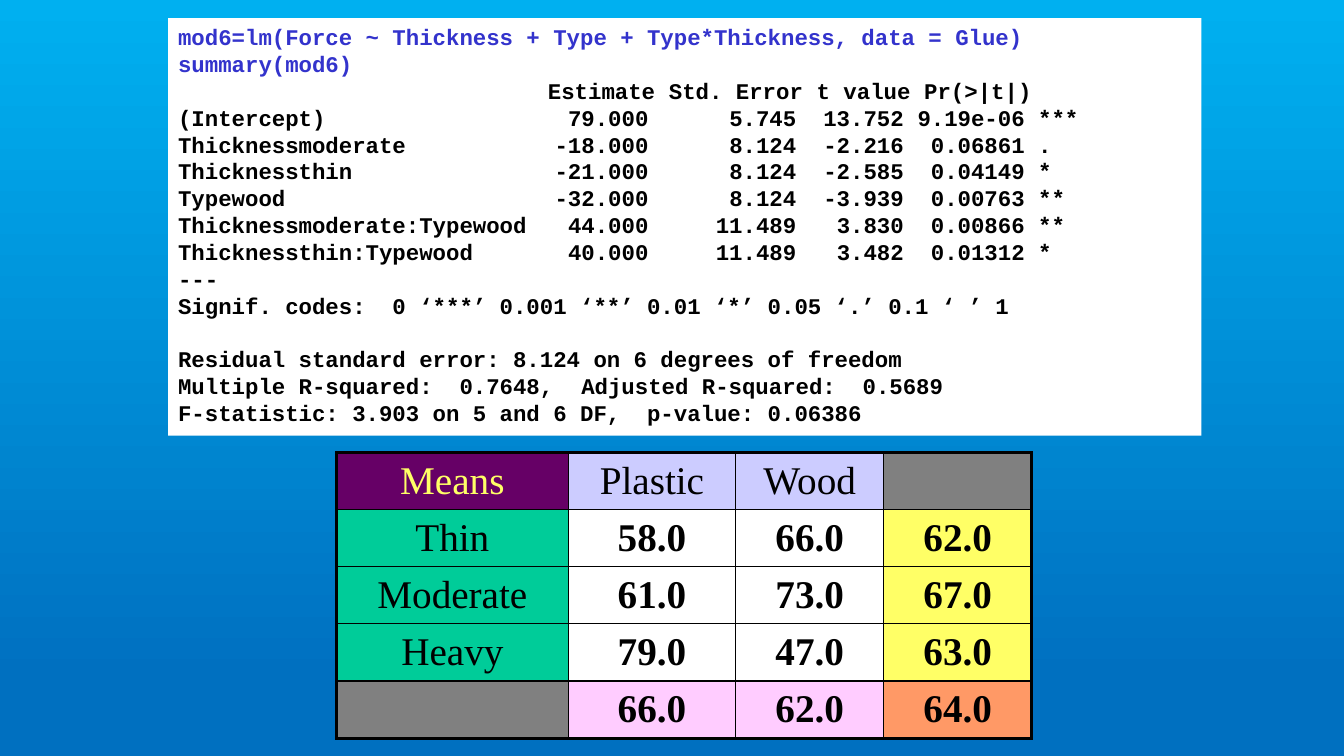
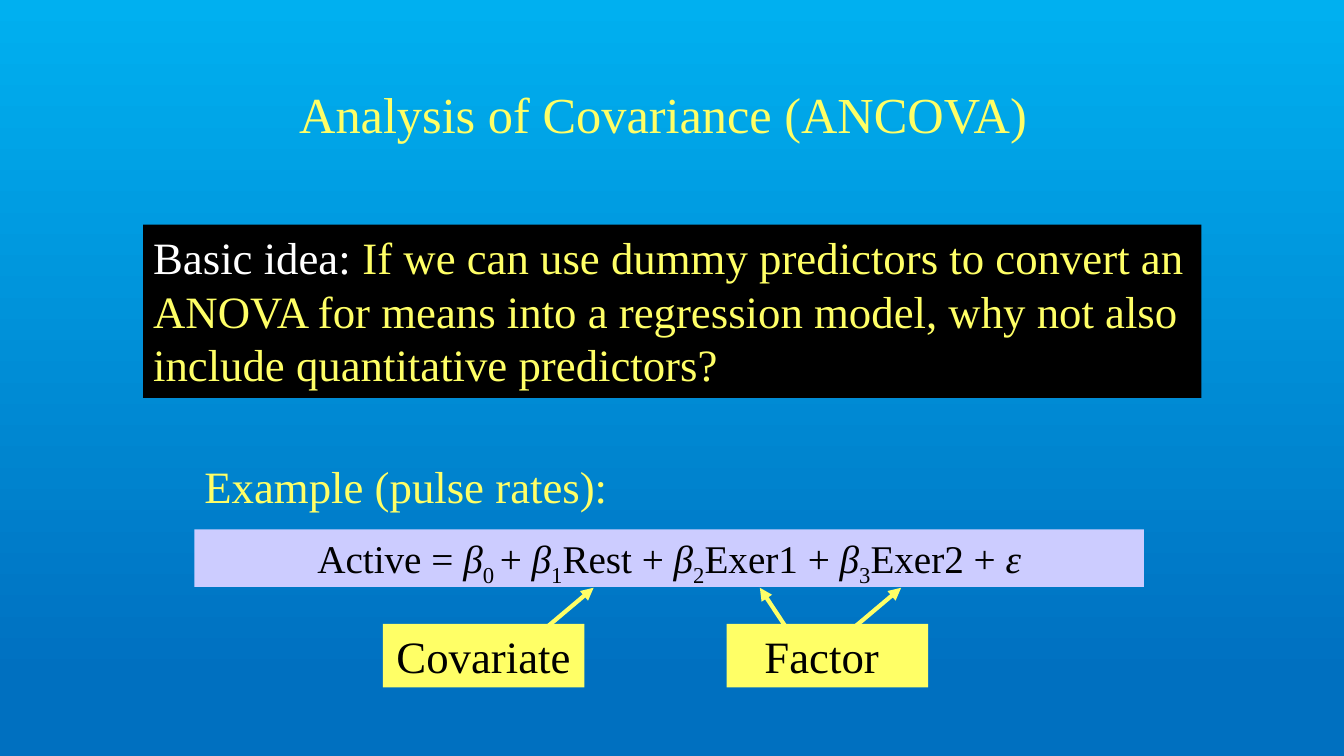
from pptx import Presentation, util as u
from pptx.dml import color
from pptx.enum import shapes, text
from pptx.oxml import ns, xmlchemy as xc

SERIF, MONO = "Times New Roman", "Courier New"
BLACK, WHITE, YELLOW, LILAC = "000000", "FFFFFF", "FFFF66", "CCCCFF"
GREEN, GRAY, PINK = "00CC99", "808080", "FFCCFF"
PURPLE, ORANGE, BLUE = "660066", "FF9966", "3333CC"
LEFT, MID = text.PP_ALIGN.LEFT, text.PP_ALIGN.CENTER

CALLS = ["mod6=lm(Force ~ Thickness + Type + Type*Thickness, data = Glue)",
         "summary(mod6)"]
HEAD = ["", "Estimate", "Std. Error", "t value", "Pr(>|t|)"]
COEFS = [
    ["(Intercept)", "79.000", "5.745", "13.752", "9.19e-06", "***"],
    ["Thicknessmoderate", "-18.000", "8.124", "-2.216", "0.06861", "."],
    ["Thicknessthin", "-21.000", "8.124", "-2.585", "0.04149", "*"],
    ["Typewood", "-32.000", "8.124", "-3.939", "0.00763", "**"],
    ["Thicknessmoderate:Typewood", "44.000", "11.489", "3.830", "0.00866", "**"],
    ["Thicknessthin:Typewood", "40.000", "11.489", "3.482", "0.01312", "*"],
]
CODES = ["---",
         "Signif. codes:  0 ‘***’ 0.001 ‘**’ 0.01 ‘*’ 0.05 ‘.’ 0.1 ‘ ’ 1"]
FIT = ["Residual standard error: 8.124 on 6 degrees of freedom",
       "Multiple R-squared:  0.7648,\tAdjusted R-squared:  0.5689",
       "F-statistic: 3.903 on 5 and 6 DF,  p-value: 0.06386"]
MEANS = [["Means", "Plastic", "Wood", ""],
         ["Thin", "58.0", "66.0", "62.0"],
         ["Moderate", "61.0", "73.0", "67.0"],
         ["Heavy", "79.0", "47.0", "63.0"],
         ["", "66.0", "62.0", "64.0"]]
FILLS = [[PURPLE, LILAC, LILAC, GRAY],
         *[[GREEN, WHITE, WHITE, YELLOW]] * 3,
         [GRAY, PINK, PINK, ORANGE]]
MODEL = [("Active = ", ""), ("β", "i"), ("0 ", "sub"), ("+ ", ""),
         ("β", "i"), ("1", "sub"), ("Rest + ", ""),
         ("β", "i"), ("2", "sub"), ("Exer1 + ", ""),
         ("β", "i"), ("3", "sub"), ("Exer2 + ", ""), ("ε", "i")]
CHAR = 9.6


def rgb(code):
    """Turn a hex string into a colour."""
    return color.RGBColor.from_string(code)


def node(parent, tag, **attrs):
    """Append a DrawingML element with attributes."""
    item = xc.OxmlElement(tag)
    for key, val in attrs.items():
        item.set(key, str(val))
    parent.append(item)
    return item


def paint(fill, code):
    """Apply a solid fill."""
    fill.solid()
    fill.fore_color.rgb = rgb(code)


def style(par, size, ink, face=SERIF, bold=False, align=MID):
    """Format a whole paragraph."""
    par.alignment = align
    font = par.font
    font.size, font.name, font.bold = u.Pt(size), face, bold
    font.color.rgb = rgb(ink)


def place(item, box):
    """Set left, top, width and height in centimetres."""
    item.left, item.top, item.width, item.height = map(u.Cm, box)


def panel(slide, box, fill):
    """Add a filled rectangle and return its text frame."""
    item = slide.shapes.add_shape(shapes.MSO_SHAPE.RECTANGLE, *map(u.Cm, box))
    item.shadow.inherit = False
    item.line.fill.background()
    paint(item.fill, fill)
    frame = item.text_frame
    frame.word_wrap = True
    frame.vertical_anchor = text.MSO_ANCHOR.TOP
    return frame


def label(slide, box, words):
    """Add a yellow centred label."""
    par = panel(slide, box, YELLOW).paragraphs[0]
    par.text = words
    style(par, 32, BLACK)


def arrow(slide, start, end):
    """Add a yellow arrow between two points."""
    line = slide.shapes.add_connector(
        shapes.MSO_CONNECTOR.STRAIGHT, *map(u.Cm, start + end))
    line.line.color.rgb = rgb(YELLOW)
    line.line.width = u.Pt(3)
    node(line.line._get_or_add_ln(), "a:tailEnd", type="triangle")
    node(line._element.spPr, "a:effectLst")


def tabs(par, stops):
    """Set tab stops from pairs of character column and alignment."""
    props = par._p.get_or_add_pPr()
    group = xc.OxmlElement("a:tabLst")
    for col, side in stops:
        node(group, "a:tab", pos=int(u.Pt(col * CHAR)), algn=side)
    props.find(ns.qn("a:defRPr")).addprevious(group)


def report(slide):
    """Add the regression output."""
    frame = panel(slide, (4.24, 0.46, 26.04, 10.52), WHITE)
    rows = ["\t".join(row) for row in [HEAD] + COEFS]
    lines = CALLS + rows + CODES + FIT
    frame.text = "\n".join(lines)
    ends = [35, 46, 54, 63]
    for par, line in zip(frame.paragraphs, lines):
        style(par, 16, BLUE if line in CALLS else BLACK, MONO, True, LEFT)
        if line in rows:
            shift = 0.5 if line == rows[0] else 0
            tabs(par, [(end + shift, "r") for end in ends] + [(64, "l")])
        elif line == FIT[0]:
            par.space_before = u.Pt(19.2)
        elif line == FIT[1]:
            tabs(par, [(30, "l")])


def edge(cell, row, col):
    """Draw cell borders, heavier on the outside of the table."""
    outer = {"L": col == 0, "R": col == len(MEANS[0]) - 1,
             "T": row == 0, "B": row == len(MEANS) - 1}
    for side, thick in outer.items():
        line = node(cell._tc.get_or_add_tcPr(), "a:ln" + side,
                    w=int(u.Pt(2.25 if thick else 1)))
        node(node(line, "a:solidFill"), "a:srgbClr", val=BLACK)


def means(slide):
    """Add the table of group means."""
    wide, high = [5.84, 4.22, 3.73, 3.73], 1.44
    size = sum(wide), high * len(MEANS)
    grid = slide.shapes.add_table(
        len(MEANS), len(wide), *map(u.Cm, (8.48, 11.4) + size)).table
    grid.first_row = grid.horz_banding = False
    for col, width in zip(grid.columns, wide):
        col.width = u.Cm(width)
    for r, row in enumerate(MEANS):
        grid.rows[r].height = u.Cm(high)
        for c, words in enumerate(row):
            cell = grid.cell(r, c)
            edge(cell, r, c)
            paint(cell.fill, FILLS[r][c])
            cell.vertical_anchor = text.MSO_ANCHOR.MIDDLE
            cell.text = words
            ink = YELLOW if FILLS[r][c] == PURPLE else BLACK
            style(cell.text_frame.paragraphs[0], 28, ink, bold=r > 0 and c > 0)


def title(slide, words):
    """Place and format the slide title."""
    item = slide.shapes.title
    place(item, (5.92, 2.11, 21.59, 1.47))
    item.text_frame.text = words
    item.text_frame.vertical_anchor = text.MSO_ANCHOR.MIDDLE
    style(item.text_frame.paragraphs[0], 36, YELLOW)


def idea(slide):
    """Add the basic idea in two colours."""
    par = panel(slide, (3.61, 5.66, 26.67, 4.37), BLACK).paragraphs[0]
    style(par, 32, YELLOW, align=LEFT)
    lead, rest = par.add_run(), par.add_run()
    lead.text = "Basic idea:"
    lead.font.color.rgb = rgb(WHITE)
    rest.text = (" If we can use dummy predictors to convert an ANOVA for means"
                 " into a regression model, why not also include quantitative"
                 " predictors?")


def model(slide):
    """Add the model equation."""
    par = panel(slide, (4.9, 13.34, 23.93, 1.45), LILAC).paragraphs[0]
    style(par, 28, BLACK)
    for words, kind in MODEL:
        run = par.add_run()
        run.text = words
        if kind == "i":
            run.font.italic = True
        elif kind == "sub":
            run._r.get_or_add_rPr().set("baseline", "-25000")


def note(slide, box, words):
    """Add a plain yellow text box."""
    frame = slide.shapes.add_textbox(*map(u.Cm, box)).text_frame
    frame.word_wrap = True
    frame.text = words
    style(frame.paragraphs[0], 32, YELLOW, align=LEFT)


def backdrop(deck):
    """Give the master its blue gradient."""
    fill = deck.slide_master.background.fill
    fill.gradient()
    fill.gradient_angle = 270
    for stop, (pos, code) in zip(fill.gradient_stops,
                                 [(0, "00B0F0"), (0.9, "0070C0")]):
        stop.position = pos
        stop.color.rgb = rgb(code)


def main():
    """Build and save both slides."""
    deck = Presentation()
    deck.slide_width, deck.slide_height = u.Cm(33.87), u.Cm(19.05)
    backdrop(deck)
    bare = deck.slide_layouts.get_by_name("Blank")
    titled = deck.slide_layouts.get_by_name("Title Only")

    slide = deck.slides.add_slide(bare)
    report(slide)
    means(slide)

    slide = deck.slides.add_slide(titled)
    title(slide, "Analysis of Covariance (ANCOVA)")
    idea(slide)
    model(slide)
    note(slide, (4.9, 11.43, 11.43, 1.63), "Example (pulse rates):")
    label(slide, (9.65, 15.72, 5.08, 1.6), "Covariate")
    arrow(slide, (13.69, 15.88), (14.96, 14.81))
    label(slide, (18.31, 15.72, 5.08, 1.6), "Factor ")
    arrow(slide, (21.44, 15.88), (22.71, 14.81))
    arrow(slide, (19.99, 16.08), (19.15, 14.81))
    deck.save("out.pptx")


main()
